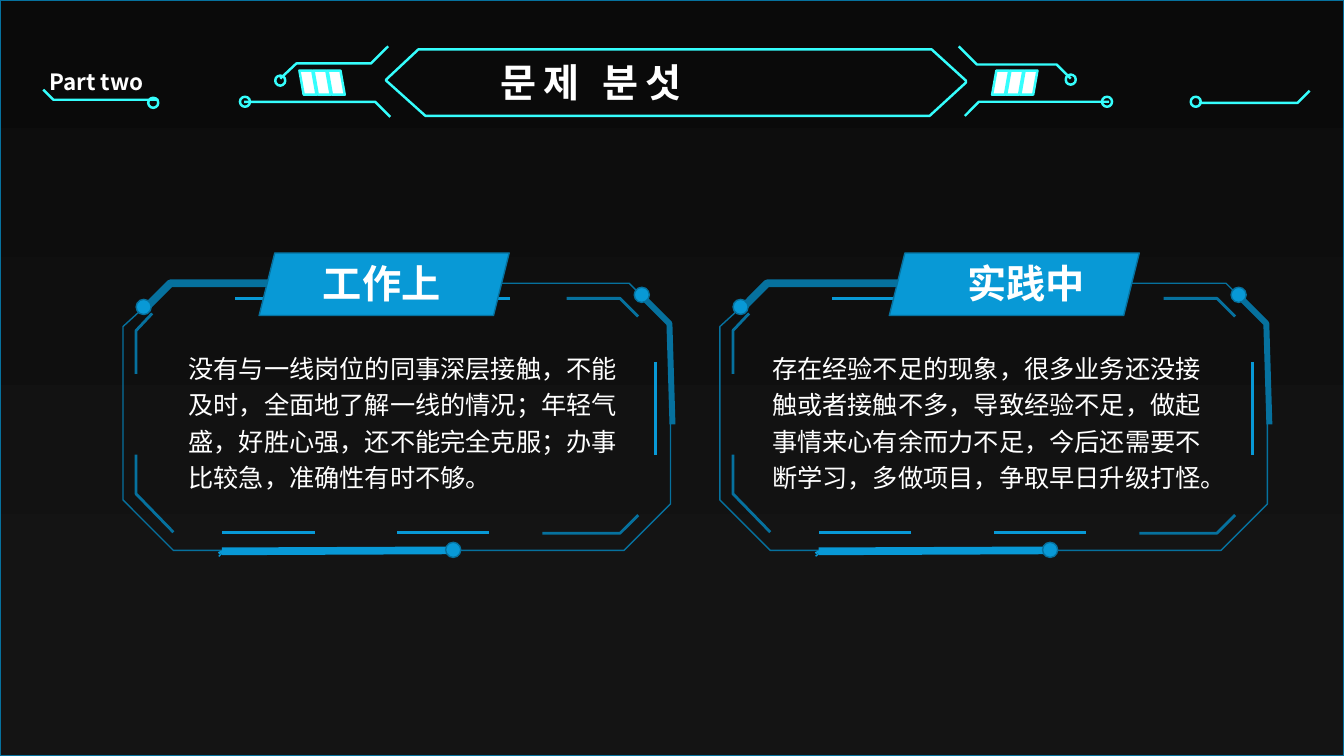
from lxml import etree
from pptx import Presentation
from pptx.dml.color import RGBColor
from pptx.enum.shapes import MSO_CONNECTOR, MSO_SHAPE
from pptx.enum.text import MSO_ANCHOR, MSO_AUTO_SIZE, PP_ALIGN
from pptx.oxml.ns import qn
from pptx.util import Cm, Pt

RECT, OVAL, SLANTED = MSO_SHAPE.RECTANGLE, MSO_SHAPE.OVAL, MSO_SHAPE.PARALLELOGRAM
STRAIGHT = MSO_CONNECTOR.STRAIGHT
LEFT, CENTER = PP_ALIGN.LEFT, PP_ALIGN.CENTER
FONT = "Noto Sans CJK SC"
CYAN, BLUE, DEEP, WHITE = "35FEFD", "0899D6", "06719E", "FFFFFF"
NIGHT_TOP, NIGHT_BOTTOM = "0A0A0A", "141414"

# All places below are in inches.
SLIDE = (13.33, 7.5)
PART = ("Part two", (0.36, 0.56, 1.19, 0.49))
TITLE = ("문제 분섯", (4.87, 0.53, 3.37, 0.57))
PANELS = [
    {"heading": "工作上", "frame_shift": 0, "tag_left": 2.57, "heading_left": 2.97, "body_left": 1.77,
     "body": "没有与一线岗位的同事深层接触，不能及时，全面地了解一线的情况；年轻气盛，好胜心强，"
             "还不能完全克服；办事比较急，准确性有时不够。"},
    {"heading": "实践中", "frame_shift": 5.92, "tag_left": 8.82, "heading_left": 9.36, "body_left": 7.56,
     "body": "存在经验不足的现象，很多业务还没接触或者接触不多，导致经验不足，做起事情来心有余而力不足，"
             "今后还需要不断学习，多做项目，争取早日升级打怪。"},
]

TITLE_FRAME = [(4.15, 0.49), (9.24, 0.49), (9.58, 0.8), (9.58, 0.82),
               (9.22, 1.15), (4.22, 1.15), (3.83, 0.8), (3.83, 0.79)]
CIRCUITS = [
    [(2.78, 0.78), (2.94, 0.63), (3.68, 0.63), (3.85, 0.46)],
    [(2.42, 1.01), (3.72, 1.01), (3.87, 1.16)],
    [(9.51, 0.46), (9.69, 0.64), (10.48, 0.64), (10.62, 0.78)],
    [(9.57, 1.15), (9.71, 1.01), (11, 1.01)],
    [(11.89, 1.02), (12.87, 1.02), (12.99, 0.9)],
    [(0.43, 0.89), (0.53, 0.99), (1.57, 0.99)],
]
NODES = [(2.73, 0.75), (2.38, 0.96), (10.93, 0.96), (10.57, 0.74), (1.47, 0.97), (11.81, 0.96)]
NODE_SIZE = 0.1
BAR_GROUPS = [(9.84, False), (2.97, True)]  # left edge, mirrored
BAR_TOP, BAR_WIDTH, BAR_HEIGHT, BAR_STEP = 0.7, 0.17, 0.24, 0.14

PANEL_OUTLINE = [(1.22, 3.24), (1.22, 4.96), (1.72, 5.46), (6.19, 5.46),
                 (6.65, 5), (6.65, 3.22), (6.24, 2.81), (1.69, 2.81)]
PANEL_CORNERS = [  # line width, points
    (5.5, [(1.44, 3.06), (1.69, 2.81), (3.4, 2.81)]),
    (4.25, [(6.67, 4.21), (6.64, 3.21), (6.4, 2.97)]),
    (2, [(1.35, 4.51), (1.35, 4.9), (1.72, 5.28)]),
    (2, [(1.35, 3.71), (1.35, 3.28), (1.51, 3.11)]),
    (2, [(5.62, 2.96), (6.15, 2.96), (6.33, 3.14)]),
    (2, [(6.33, 5.11), (6.15, 5.29), (5.38, 5.29)]),
]
PANEL_DASHES = [  # line width, from, to
    (5, (2.2, 5.5), (2.19, 5.49)),
    (2.75, (2.19, 5.49), (2.18, 5.47)),
    (2, (3.25, 2.96), (2.33, 2.96)),
    (2, (5.06, 2.96), (4.14, 2.96)),
    (2, (6.5, 3.59), (6.5, 4.51)),
    (2, (3.12, 5.28), (2.2, 5.28)),
    (2, (4.85, 5.28), (3.94, 5.28)),
    (5.5, (2.2, 5.47), (4.49, 5.46)),
]
PANEL_DOTS = [(1.35, 2.97), (4.42, 5.38), (6.29, 2.85)]
DOT_SIZE = 0.15
TAG_TOP, TAG_WIDTH, TAG_HEIGHT = 2.51, 2.48, 0.62
HEADING_TOP, HEADING_WIDTH, HEADING_HEIGHT = 2.57, 1.63, 0.48
BODY_TOP, BODY_WIDTH, BODY_HEIGHT = 3.32, 4.52, 1.69


def inches(value):
    return Cm(value * 2.54)


def rgb(code):
    return RGBColor.from_string(code)


def set_line(item, color, width):
    item.line.color.rgb = rgb(color)
    item.line.width = Pt(width)


def add_preset(shapes, kind, box, line, width, fill=None):
    shape = shapes.add_shape(kind, *map(inches, box))
    shape.shadow.inherit = False
    if fill:
        shape.fill.solid()
        shape.fill.fore_color.rgb = rgb(fill)
    else:
        shape.fill.background()
    set_line(shape, line, width)
    return shape


def add_outline(shapes, points, color, width, close=False, shift=0):
    """Draw an unfilled polyline, moved right by shift."""
    start, *rest = [(inches(x + shift), inches(y)) for x, y in points]
    builder = shapes.build_freeform(*start, scale=1.0)
    builder.add_line_segments(rest, close=close)
    shape = builder.convert_to_shape()
    shape.shadow.inherit = False
    shape.fill.background()
    set_line(shape, color, width)


def add_dash(shapes, start, end, color, width, shift):
    dash = shapes.add_connector(STRAIGHT, inches(start[0] + shift), inches(start[1]),
                                inches(end[0] + shift), inches(end[1]))
    set_line(dash, color, width)
    etree.SubElement(dash._element.spPr, qn("a:effectLst"))


def add_text(shapes, text, box, size, bold=True, align=LEFT, line_spacing=None, tracking=0):
    frame = shapes.add_textbox(*map(inches, box)).text_frame
    frame.word_wrap = True
    frame.auto_size = MSO_AUTO_SIZE.SHAPE_TO_FIT_TEXT
    frame.vertical_anchor = MSO_ANCHOR.MIDDLE
    paragraph = frame.paragraphs[0]
    paragraph.alignment = align
    paragraph.line_spacing = line_spacing
    run = paragraph.add_run()
    run.text = text
    run.font.size, run.font.bold, run.font.name = Pt(size), bold, FONT
    run.font.color.rgb = rgb(WHITE)
    properties = run.font._element
    etree.SubElement(properties, qn("a:ea")).set("typeface", FONT)
    if tracking:
        properties.set("spc", str(tracking * 100))


def add_backdrop(shapes):
    backdrop = add_preset(shapes, RECT, (0, 0, *SLIDE), DEEP, 1)
    backdrop.fill.gradient()
    backdrop.fill.gradient_angle = 270
    for stop, color, position in zip(backdrop.fill.gradient_stops, (NIGHT_TOP, NIGHT_BOTTOM), (0, 0.85)):
        stop.color.rgb = rgb(color)
        stop.position = position


def add_header(shapes):
    add_outline(shapes, TITLE_FRAME, CYAN, 1.75, close=True)
    for circuit in CIRCUITS:
        add_outline(shapes, circuit, CYAN, 1.75)
    for node in NODES:
        add_preset(shapes, OVAL, (*node, NODE_SIZE, NODE_SIZE), CYAN, 1.75)
    for left, mirrored in BAR_GROUPS:
        steps = reversed(range(3)) if mirrored else range(3)
        for step in steps:
            box = (left + step * BAR_STEP, BAR_TOP, BAR_WIDTH, BAR_HEIGHT)
            bar = add_preset(shapes, SLANTED, box, CYAN, 1.75, WHITE)
            if mirrored:
                bar._element.spPr.xfrm.set("flipH", "1")
    add_text(shapes, *PART, 16, align=CENTER)
    add_text(shapes, *TITLE, 28, tracking=5)


def add_panel_frame(shapes, shift):
    add_outline(shapes, PANEL_OUTLINE, DEEP, 1, close=True, shift=shift)
    for width, corner in PANEL_CORNERS:
        add_outline(shapes, corner, DEEP, width, shift=shift)
    for width, start, end in PANEL_DASHES:
        add_dash(shapes, start, end, BLUE, width, shift)
    for x, y in PANEL_DOTS:
        add_preset(shapes, OVAL, (x + shift, y, DOT_SIZE, DOT_SIZE), DEEP, 1, BLUE)


def main():
    deck = Presentation()
    deck.slide_width, deck.slide_height = map(inches, SLIDE)
    shapes = deck.slides.add_slide(deck.slide_layouts[6]).shapes
    add_backdrop(shapes)
    add_header(shapes)
    for panel in PANELS:
        add_panel_frame(shapes.add_group_shape().shapes, panel["frame_shift"])
        add_preset(shapes, SLANTED, (panel["tag_left"], TAG_TOP, TAG_WIDTH, TAG_HEIGHT), DEEP, 1, BLUE)
        heading_box = (panel["heading_left"], HEADING_TOP, HEADING_WIDTH, HEADING_HEIGHT)
        add_text(shapes, panel["heading"], heading_box, 28, align=CENTER)
        body_box = (panel["body_left"], BODY_TOP, BODY_WIDTH, BODY_HEIGHT)
        add_text(shapes, panel["body"], body_box, 18, bold=False, line_spacing=1.2)
    deck.save("out.pptx")


if __name__ == "__main__":
    main()
